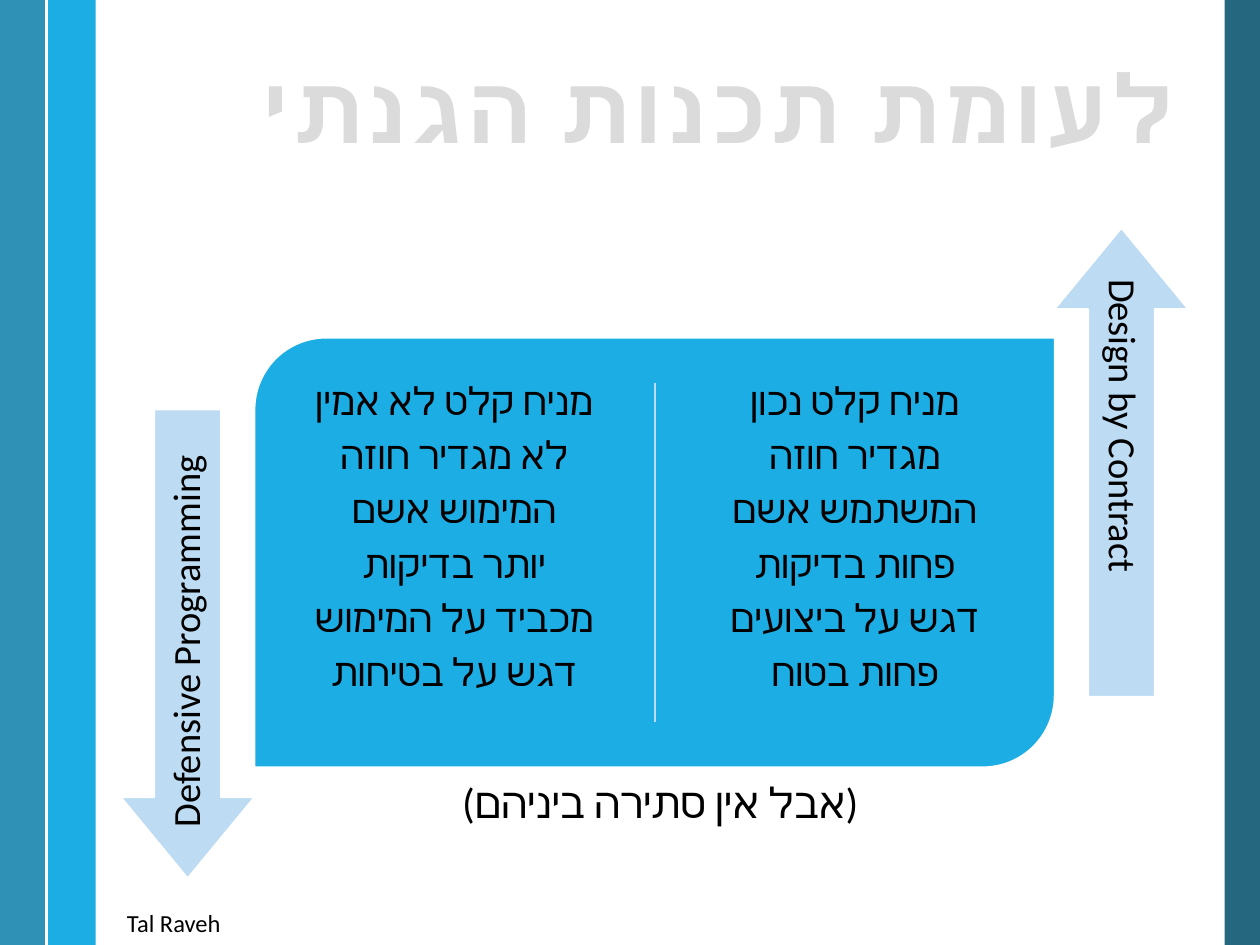
from dataclasses import dataclass

from lxml import etree
from pptx import Presentation
from pptx.dml.color import RGBColor
from pptx.enum import dml, shapes, text
from pptx.oxml import ns
from pptx.util import Inches, Pt

FONT = "Calibri"
BLUE, PALE, WHITE, BLACK = "1CADE4", "BDDBF2", "FFFFFF", "000000"
ALIGN, SHAPE = text.PP_ALIGN, shapes.MSO_SHAPE
PANEL_INSETS = (0.09, 0.09, 0.09, 0.09)


@dataclass
class Box:
    left: float
    top: float
    width: float
    height: float

    def lengths(self):
        return [Inches(v) for v in (self.left, self.top, self.width, self.height)]


@dataclass
class Band:
    box: Box
    color: str
    opacity: int = 100


@dataclass
class Approach:
    """One side of the comparison: an arrow with its name, and a list of traits."""
    name: str
    arrow: Box
    label: Box
    rotation: int
    column: Box
    traits: list[str]


BANDS = [
    Band(Box(9.72, 0, 0.28, 7.5), "0E5772", 90),
    Band(Box(0.37, 0, 0.39, 7.5), BLUE),
    Band(Box(0, 0, 0.38, 7.5), "1482AC", 88),
]
APPROACHES = [
    Approach("Design by Contract", Box(7.04, 3.14, 3.72, 1.06),
             Box(7.2, 3.56, 3.4, 0.53), 90, Box(5.41, 2.94, 2.75, 2.9),
             ["מניח קלט נכון", "מגדיר חוזה", "המשתמש אשם",
              "פחות בדיקות", "דגש על ביצועים", "פחות בטוח"]),
    Approach("Defensive Programming", Box(-0.37, 4.58, 3.72, 1.06),
             Box(-0.21, 4.69, 3.4, 0.53), 270, Box(2.23, 2.94, 2.75, 2.9),
             ["מניח קלט לא אמין", "לא מגדיר חוזה", "המימוש אשם",
              "יותר בדיקות", "מכביד על המימוש", "דגש על בטיחות"]),
]


def rgb(color: str) -> RGBColor:
    return RGBColor.from_string(color)


def apply(target, values: dict) -> None:
    for name, value in values.items():
        setattr(target, name, value)


def add_filled(slide, kind, box: Box, color: str, border: str | None = None,
               adjustments=(), rotation: int = 0, opacity: int = 100):
    shape = slide.shapes.add_shape(kind, *box.lengths())
    shape.shadow.inherit = False
    shape.rotation = rotation
    for index, value in enumerate(adjustments):
        shape.adjustments[index] = value
    shape.fill.solid()
    shape.fill.fore_color.rgb = rgb(color)
    if opacity < 100:
        tint = shape._element.spPr.find(".//" + ns.qn("a:srgbClr"))
        etree.SubElement(tint, ns.qn("a:alpha"), val=str(opacity * 1000))
    if border:
        shape.line.color.rgb = rgb(border)
        shape.line.width = Pt(1)
    else:
        shape.line.fill.background()


def add_rule(slide, x: float, top: float, bottom: float, color: str, width: float):
    rule = slide.shapes.add_connector(
        shapes.MSO_CONNECTOR.STRAIGHT, Inches(x), Inches(top), Inches(x), Inches(bottom))
    rule.line.color.rgb = rgb(color)
    rule.line.width = Pt(width)
    etree.SubElement(rule._element.spPr, ns.qn("a:effectLst"))


def write(frame, lines: list[str], size: float, rtl: bool = False,
          bold: bool = False, **layout):
    """Fill a text frame with one paragraph per line; layout holds paragraph settings."""
    for index, line in enumerate(lines):
        paragraph = frame.paragraphs[0] if index == 0 else frame.add_paragraph()
        apply(paragraph, layout)
        if rtl:
            paragraph._p.get_or_add_pPr().set("rtl", "1")
        run = paragraph.add_run()
        run.text = line
        apply(run.font, {"name": FONT, "size": Pt(size), "bold": bold})
        run.font.color.rgb = rgb(BLACK)
        etree.SubElement(run.font._element, ns.qn("a:cs"), typeface=FONT)


def set_insets(frame, insets):
    sides = ("margin_left", "margin_top", "margin_right", "margin_bottom")
    apply(frame, dict(zip(sides, map(Inches, insets))))


def add_text(slide, box: Box, lines: list[str], size: float, rotation: int = 0,
             insets=(0.1, 0.05, 0.1, 0.05), frame_format=None, **style):
    label = slide.shapes.add_textbox(*box.lengths())
    label.rotation = rotation
    set_insets(label.text_frame, insets)
    apply(label.text_frame, {"word_wrap": True, **(frame_format or {})})
    write(label.text_frame, lines, size, **style)


def set_title(slide, box: Box, wording: str):
    title = slide.shapes.title
    apply(title, dict(zip(("left", "top", "width", "height"), box.lengths())))
    frame = title.text_frame
    set_insets(frame, (0.1, 0, 0.1, 0))
    apply(frame, {"word_wrap": False, "auto_size": text.MSO_AUTO_SIZE.NONE,
                  "vertical_anchor": text.MSO_ANCHOR.MIDDLE})
    write(frame, [wording], 54, rtl=True, bold=True,
          alignment=ALIGN.RIGHT, line_spacing=0.9)
    font = frame.paragraphs[0].runs[0].font
    font.fill.patterned()
    font.fill.pattern = dml.MSO_PATTERN.NARROW_HORIZONTAL
    font.fill.fore_color.rgb = rgb(BLUE)
    font.fill.back_color.rgb = rgb("DBDBDB")
    properties = font._element
    properties.set("spc", "200")
    outline = etree.Element(ns.qn("a:ln"), w=str(Pt(1)))
    solid = etree.SubElement(outline, ns.qn("a:solidFill"))
    etree.SubElement(solid, ns.qn("a:srgbClr"), val="525252")
    properties.insert(0, outline)


def main():
    deck = Presentation()
    deck.slide_width, deck.slide_height = Inches(10), Inches(7.5)
    slide = deck.slides.add_slide(deck.slide_layouts[5])
    grow = {"auto_size": text.MSO_AUTO_SIZE.SHAPE_TO_FIT_TEXT}
    spacing = {"line_spacing": 0.9, "space_after": Pt(7.3)}

    for band in BANDS:
        add_filled(slide, SHAPE.RECTANGLE, band.box, band.color, opacity=band.opacity)
    add_rule(slide, 0.37, 0, 7.5, WHITE, 1.5)
    add_text(slide, Box(0.88, 7.16, 0.97, 0.34), ["Tal Raveh"], 14,
             frame_format=grow, alignment=ALIGN.RIGHT)
    set_title(slide, Box(0.96, 0.5, 8.47, 0.79), "לעומת תכנות הגנתי")

    add_filled(slide, SHAPE.ROUND_2_DIAG_RECTANGLE, Box(2.02, 2.68, 6.35, 3.41),
               BLUE, WHITE, (0.167, 0))
    add_rule(slide, 5.2, 3.04, 5.73, PALE, 1)
    for side in APPROACHES:
        add_text(slide, side.column, side.traits, 22, insets=PANEL_INSETS,
                 rtl=True, alignment=ALIGN.CENTER, **spacing)
        add_filled(slide, SHAPE.LEFT_ARROW, side.arrow, PALE, WHITE,
                   (0.498, 0.607), side.rotation)
        add_text(slide, side.label, [side.name], 22, side.rotation, PANEL_INSETS,
                 {"vertical_anchor": text.MSO_ANCHOR.MIDDLE},
                 alignment=ALIGN.LEFT, **spacing)
    add_text(slide, Box(2.74, 6.11, 5, 0.5), ["(אבל אין סתירה ביניהם)"], 24,
             frame_format=grow, rtl=True, alignment=ALIGN.CENTER)
    deck.save("out.pptx")


if __name__ == "__main__":
    main()
